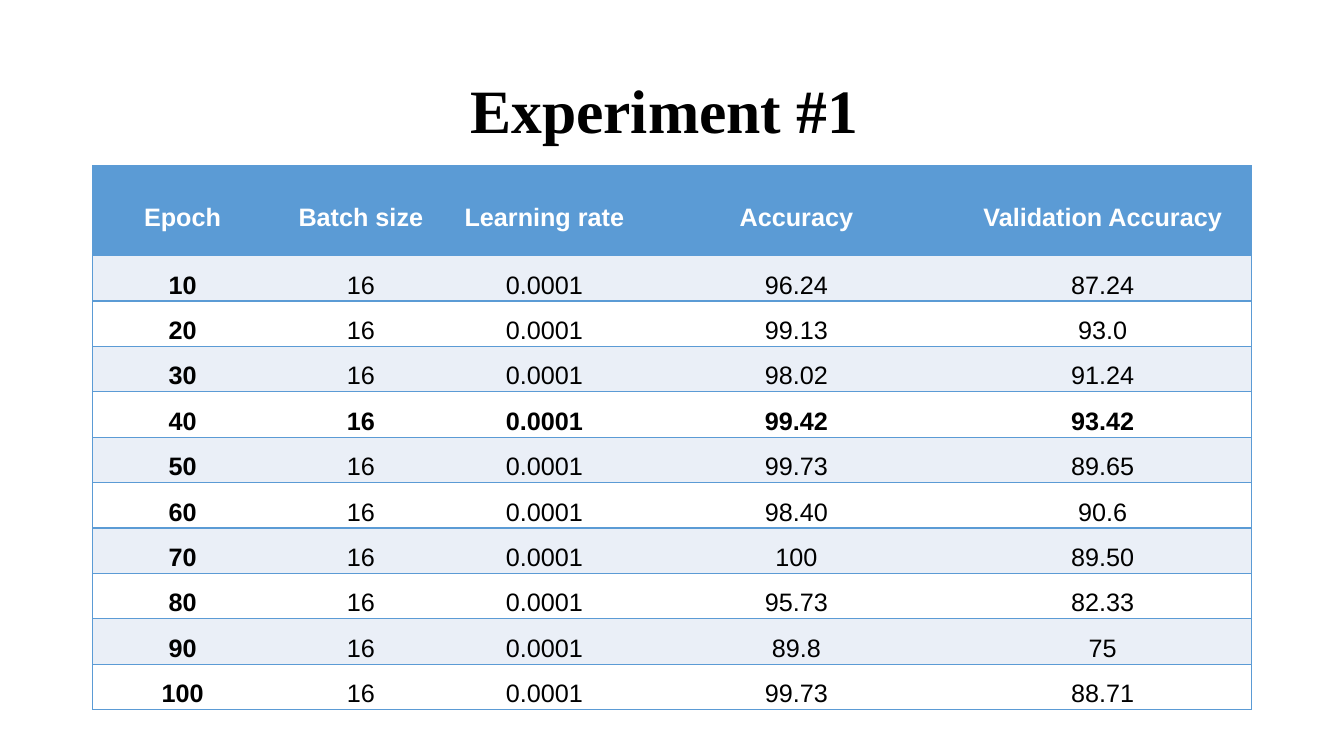
from lxml import etree
from pptx import Presentation
from pptx.dml.color import RGBColor
from pptx.enum import text
from pptx.oxml import ns
from pptx.util import Cm, Pt

TITLE = "Experiment #1 "
HEADER = ("Epoch", "Batch size", "Learning rate", "Accuracy", "Validation Accuracy")
BATCH_SIZE, LEARNING_RATE = "16", "0.0001"
RESULTS = [
    ("10", "96.24", "87.24"),
    ("20", "99.13", "93.0"),
    ("30", "98.02", "91.24"),
    ("40", "99.42", "93.42"),
    ("50", "99.73", "89.65"),
    ("60", "98.40", "90.6"),
    ("70", "100", "89.50"),
    ("80", "95.73", "82.33"),
    ("90", "89.8", "75"),
    ("100", "99.73", "88.71"),
]
BEST_EPOCH = "40"
COL_WIDTHS = (4.52, 4.47, 4.78, 7.92, 7.52)
HEADER_HEIGHT, ROW_HEIGHT = 2.26, 1.07
LEFT, TABLE_TOP = 2.34, 4.18
WIDTH = sum(COL_WIDTHS)

BLACK = RGBColor(0x00, 0x00, 0x00)
WHITE = RGBColor(0xFF, 0xFF, 0xFF)
BLUE = RGBColor(0x5B, 0x9B, 0xD5)
BAND = RGBColor(0xEA, 0xEF, 0xF7)


def style_text(p, font, size, color, bold):
    p.alignment = text.PP_ALIGN.CENTER
    for r in p.runs:
        r.font.name = font
        r.font.size = Pt(size)
        r.font.color.rgb = color
        r.font.bold = bold


def add_border(cell, side, visible):
    tcPr = cell._tc.get_or_add_tcPr()
    ln = etree.SubElement(tcPr, ns.qn(f"a:ln{side}"), w=str(Pt(1)))
    if visible:
        fill = etree.SubElement(ln, ns.qn("a:solidFill"))
        etree.SubElement(fill, ns.qn("a:srgbClr"), val=str(BLUE))
    else:
        etree.SubElement(ln, ns.qn("a:noFill"))


def add_title(s):
    sp = s.shapes.add_textbox(Cm(LEFT), Cm(1.02), Cm(WIDTH), Cm(3.68))
    tf = sp.text_frame
    tf.word_wrap = True
    tf.vertical_anchor = text.MSO_ANCHOR.MIDDLE
    p = tf.paragraphs[0]
    p.text = TITLE
    p.line_spacing = 0.9
    style_text(p, "Times New Roman", 44, BLACK, True)


def fill_cell(cell, value, row, col, bold):
    cell.margin_left = cell.margin_right = Cm(0.18)
    cell.margin_top = cell.margin_bottom = 0
    cell.vertical_anchor = text.MSO_ANCHOR.MIDDLE
    add_border(cell, "L", col == 0)
    add_border(cell, "R", col == len(HEADER) - 1)
    add_border(cell, "T", True)
    add_border(cell, "B", True)
    cell.fill.solid()
    cell.fill.fore_color.rgb = BLUE if row == 0 else BAND if row % 2 else WHITE
    p = cell.text_frame.paragraphs[0]
    p.text = value
    p.line_spacing = 1.5
    p.space_after = Pt(5.3)
    style_text(p, "Arial", 18, WHITE if row == 0 else BLACK, bold)


def add_results(s):
    rows = [HEADER] + [(epoch, BATCH_SIZE, LEARNING_RATE, accuracy, validation)
                       for epoch, accuracy, validation in RESULTS]
    heights = [HEADER_HEIGHT] + [ROW_HEIGHT] * len(RESULTS)
    table = s.shapes.add_table(len(rows), len(HEADER), Cm(LEFT), Cm(TABLE_TOP),
                               Cm(WIDTH), Cm(sum(heights))).table
    for column, width in zip(table.columns, COL_WIDTHS):
        column.width = Cm(width)
    for i, (values, height) in enumerate(zip(rows, heights)):
        table.rows[i].height = Cm(height)
        for j, value in enumerate(values):
            bold = i == 0 or j == 0 or values[0] == BEST_EPOCH
            fill_cell(table.cell(i, j), value, i, j, bold)


def main():
    prs = Presentation()
    prs.slide_width, prs.slide_height = Cm(33.87), Cm(19.05)
    s = prs.slides.add_slide(prs.slide_layouts[6])
    add_title(s)
    add_results(s)
    prs.save("out.pptx")


if __name__ == "__main__":
    main()
